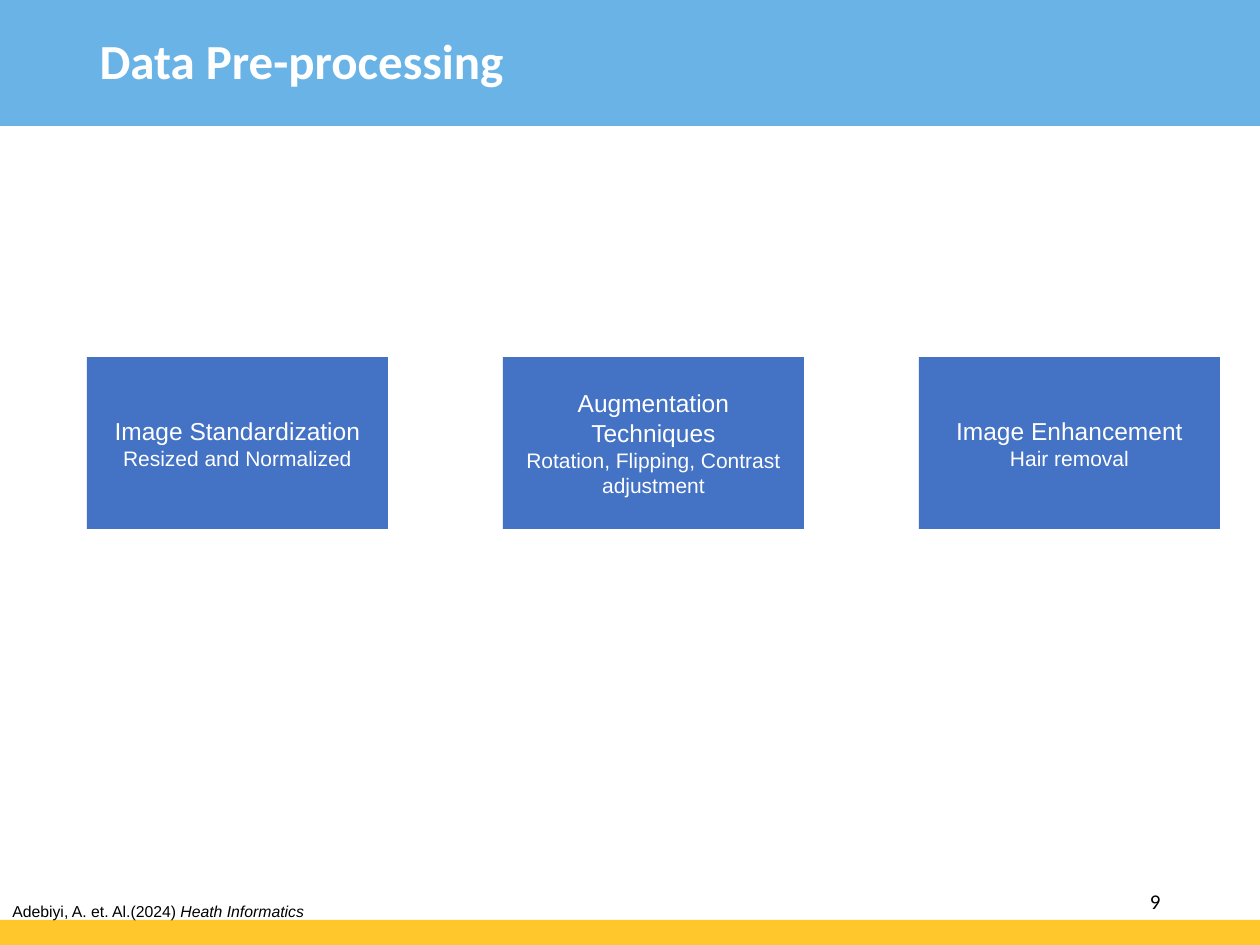
import pptx
import pptx.dml.color
import pptx.enum.shapes
import pptx.enum.text
import pptx.util

RGBColor = pptx.dml.color.RGBColor
Align = pptx.enum.text.PP_ALIGN
Anchor = pptx.enum.text.MSO_ANCHOR

SKY = RGBColor(0x69, 0xB3, 0xE7)
GOLD = RGBColor(0xFF, 0xC7, 0x2C)
BLUE = RGBColor(0x44, 0x72, 0xC4)
WHITE = RGBColor(0xFF, 0xFF, 0xFF)
BLACK = RGBColor(0x00, 0x00, 0x00)

PX = 914400 // 126
SLIDE_WIDTH, SLIDE_HEIGHT = 1260, 945

STEPS = [
    ("Image Standardization", "Resized and Normalized"),
    ("Augmentation Techniques", "Rotation, Flipping, Contrast adjustment"),
    ("Image Enhancement", "Hair removal"),
]
STEP_LEFT, STEP_TOP, STEP_WIDTH, STEP_HEIGHT = 87, 357, 301, 172
STEP_PITCH = 416


def emu(*lengths):
    return [pptx.util.Emu(length * PX) for length in lengths]


def style_paragraph(paragraph, font_name, size, color, alignment=Align.LEFT):
    paragraph.alignment = alignment
    paragraph.font.name = font_name
    paragraph.font.size = pptx.util.Pt(size)
    paragraph.font.color.rgb = color


def add_rectangle(slide, left, top, width, height, color):
    shape = slide.shapes.add_shape(
        pptx.enum.shapes.MSO_SHAPE.RECTANGLE, *emu(left, top, width, height))
    shape.shadow.inherit = False
    shape.fill.solid()
    shape.fill.fore_color.rgb = color
    shape.line.fill.background()
    return shape


def set_title(slide, text):
    title = slide.shapes.title
    title.left, title.top, title.width, title.height = emu(87, 4, 901, 120)
    frame = title.text_frame
    frame.text = text
    frame.vertical_anchor = Anchor.MIDDLE
    paragraph = frame.paragraphs[0]
    paragraph.line_spacing = 0.9
    style_paragraph(paragraph, "Calibri", 28, WHITE)
    paragraph.font.bold = True
    # Bring the title in front of the header band
    title.element.getparent().append(title.element)


def add_step(slide, left, heading, detail):
    box = add_rectangle(slide, left, STEP_TOP, STEP_WIDTH, STEP_HEIGHT, BLUE)
    frame = box.text_frame
    frame.word_wrap = True
    frame.vertical_anchor = Anchor.MIDDLE
    frame.text = f"{heading}\n{detail}"
    for paragraph, size in zip(frame.paragraphs, (14, 12)):
        style_paragraph(paragraph, "Arial", size, WHITE, Align.CENTER)


def add_label(slide, left, top, width, height, runs, font_name, size,
              alignment=Align.LEFT, anchor=Anchor.TOP):
    box = slide.shapes.add_textbox(*emu(left, top, width, height))
    frame = box.text_frame
    frame.word_wrap = True
    frame.vertical_anchor = anchor
    paragraph = frame.paragraphs[0]
    style_paragraph(paragraph, font_name, size, BLACK, alignment)
    for text, italic in runs:
        run = paragraph.add_run()
        run.text = text
        if italic:
            run.font.italic = True


def main():
    presentation = pptx.Presentation()
    presentation.slide_width, presentation.slide_height = emu(
        SLIDE_WIDTH, SLIDE_HEIGHT)
    slide = presentation.slides.add_slide(presentation.slide_layouts[5])

    # Header and footer bands
    add_rectangle(slide, 0, 0, SLIDE_WIDTH, 126, SKY)
    add_rectangle(slide, 0, 920, SLIDE_WIDTH, 25, GOLD)
    set_title(slide, "Data Pre-processing")

    # Page number and citation
    add_label(slide, 890, 876, 283, 50, [("9", False)], "Calibri", 12,
              Align.RIGHT, Anchor.MIDDLE)
    add_label(slide, 0, 896, 630, 32,
              [("Adebiyi, A. et. Al.(2024) ", False),
               ("Heath Informatics", True)], "Arial", 9)

    # Pre-processing steps
    for index, (heading, detail) in enumerate(STEPS):
        add_step(slide, STEP_LEFT + index * STEP_PITCH, heading, detail)

    presentation.save("out.pptx")


if __name__ == "__main__":
    main()
